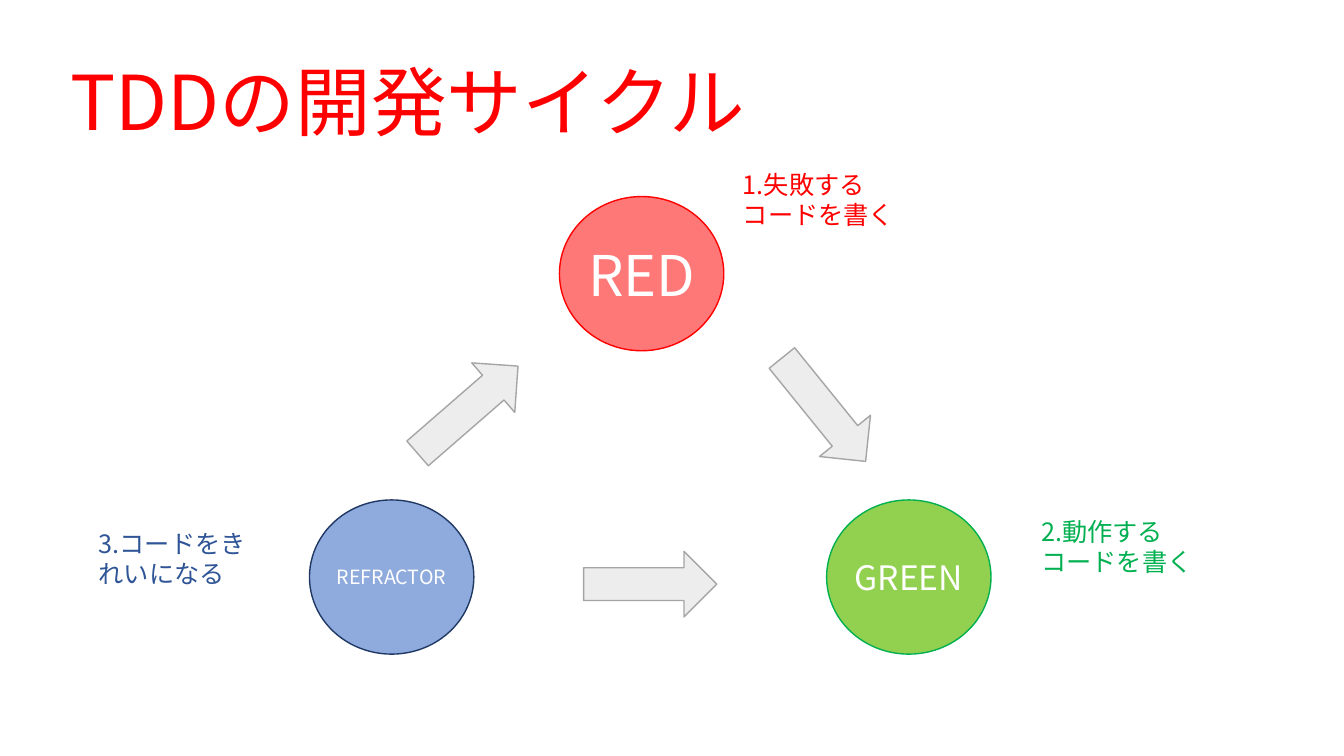
from pptx import Presentation
from pptx.dml.color import RGBColor
from pptx.enum.shapes import MSO_SHAPE as Preset
from pptx.enum.text import MSO_ANCHOR as Anchor, PP_ALIGN as Align
from pptx.oxml.ns import qn
from pptx.util import Inches, Pt
from lxml.etree import SubElement

RED = RGBColor(0xFF, 0x00, 0x00)
LIGHT_RED = RGBColor(0xFF, 0x78, 0x78)
GREEN = RGBColor(0x00, 0xB0, 0x50)
LIGHT_GREEN = RGBColor(0x92, 0xD0, 0x50)
BLUE = RGBColor(0x2F, 0x55, 0x97)
LIGHT_BLUE = RGBColor(0x8F, 0xAA, 0xDC)
NAVY = RGBColor(0x20, 0x38, 0x64)
GRAY = RGBColor(0xA5, 0xA5, 0xA5)
LIGHT_GRAY = RGBColor(0xED, 0xED, 0xED)
WHITE = RGBColor(0xFF, 0xFF, 0xFF)


class CycleSlide:
    columns = rows = 100
    text_font = "Noto Sans CJK SC"
    circle_font = "Noto Sans CJK JP"
    circle_size = (12.23, 20.4)
    arrow_size = (9.9, 8.67)
    label_size = (13.43, 9.47)

    def __init__(self, presentation):
        self.column = presentation.slide_width / self.columns
        self.row = presentation.slide_height / self.rows
        self.slide = presentation.slides.add_slide(presentation.slide_layouts[5])

    def box(self, left, top, width, height):
        return (round(left * self.column), round(top * self.row),
                round(width * self.column), round(height * self.row))

    def centered(self, x, y, size):
        width, height = size
        return self.box(x - width / 2, y - height / 2, width, height)

    def add_text(self, frame, lines, size, color, font, align=Align.LEFT):
        paragraph = frame.paragraphs[0]
        paragraph.alignment = align
        paragraph.line_spacing = 1.0
        for index, line in enumerate(lines):
            if index:
                paragraph.add_line_break()
            run = paragraph.add_run()
            run.text = line
            run.font.size = Pt(size)
            run.font.name = font
            run.font.color.rgb = color
            SubElement(run.font._element, qn("a:ea")).set("typeface", font)

    def title(self, text, box, size, color):
        shape = self.slide.shapes.title
        shape.left, shape.top, shape.width, shape.height = self.box(*box)
        shape.text_frame.vertical_anchor = Anchor.TOP
        self.add_text(shape.text_frame, [text], size, color, self.text_font)

    def preset(self, kind, box, fill, line):
        shape = self.slide.shapes.add_shape(kind, *box)
        shape.shadow.inherit = False
        shape.fill.solid()
        shape.fill.fore_color.rgb = fill
        shape.line.color.rgb = line
        shape.line.width = Pt(1)
        return shape

    def circle(self, x, y, text, size, fill, line):
        shape = self.preset(Preset.OVAL, self.centered(x, y, self.circle_size), fill, line)
        frame = shape.text_frame
        frame.word_wrap = False
        frame.vertical_anchor = Anchor.MIDDLE
        self.add_text(frame, [text], size, WHITE, self.circle_font, Align.CENTER)

    def arrow(self, x, y, rotation):
        box = self.centered(x, y, self.arrow_size)
        self.preset(Preset.RIGHT_ARROW, box, LIGHT_GRAY, GRAY).rotation = rotation

    def label(self, left, top, lines, color):
        shape = self.slide.shapes.add_textbox(*self.box(left, top, *self.label_size))
        shape.text_frame.word_wrap = True
        self.add_text(shape.text_frame, lines, 18, color, self.text_font)


def main():
    presentation = Presentation()
    presentation.slide_width = Inches(13.33)
    presentation.slide_height = Inches(7.5)

    cycle = CycleSlide(presentation)
    cycle.title("TDDの開発サイクル", (4.5, 6.53, 95.5, 13.47), 54, RED)

    cycle.circle(47.74, 36.2, "RED", 40, LIGHT_RED, RED)
    cycle.circle(67.62, 76.33, "GREEN", 24, LIGHT_GREEN, GREEN)
    cycle.circle(29.14, 76.33, "REFRACTOR", 14, LIGHT_BLUE, NAVY)

    cycle.arrow(34.81, 54.2, 319)
    cycle.arrow(61.29, 54.2, 51)
    cycle.arrow(48.38, 77.27, 0)

    cycle.label(54.53, 21.73, ["1.失敗する", "コードを書く"], RED)
    cycle.label(76.74, 67.6, ["2.動作する", "コードを書く"], GREEN)
    cycle.label(6.6, 69.2, ["3.コードをきれいになる"], BLUE)

    presentation.save("out.pptx")


if __name__ == "__main__":
    main()
